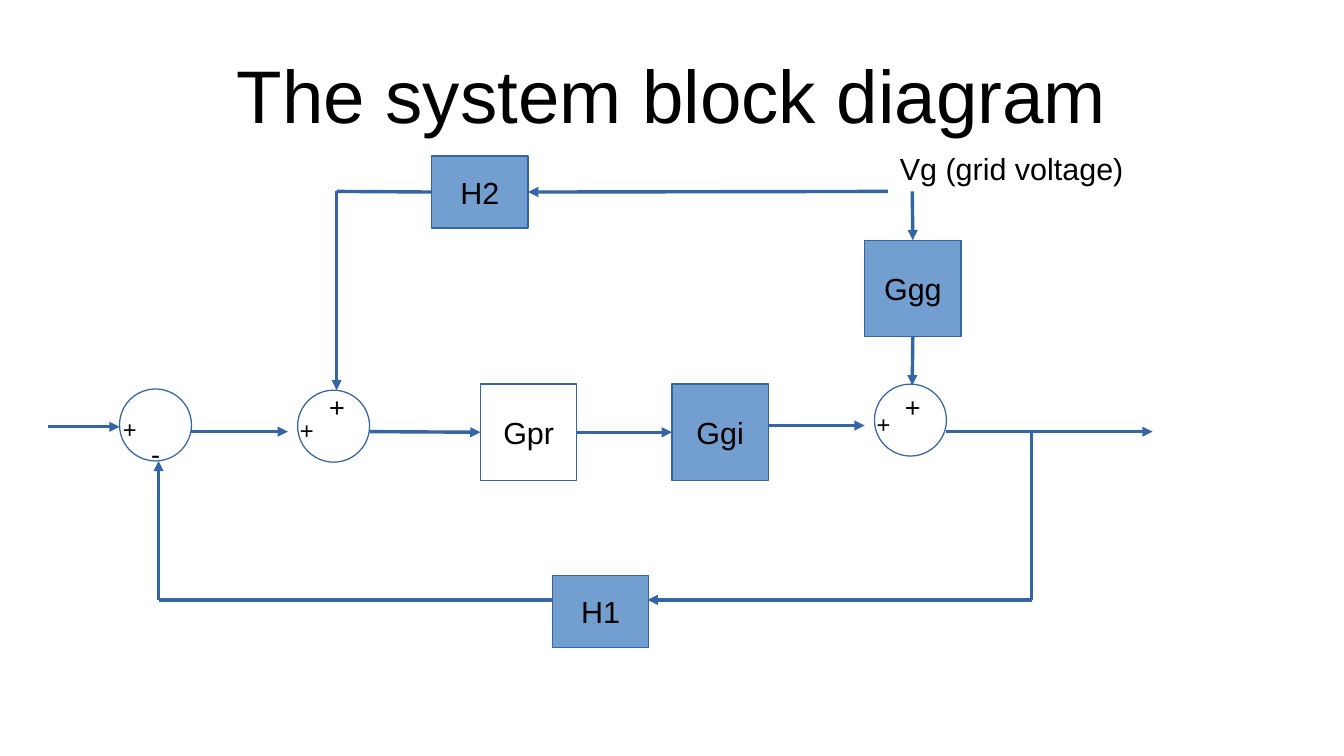
from dataclasses import dataclass

from lxml.etree import SubElement
from pptx import Presentation
from pptx.dml.color import RGBColor
from pptx.enum.shapes import MSO_CONNECTOR, MSO_SHAPE
from pptx.enum.text import MSO_ANCHOR, MSO_AUTO_SIZE, PP_ALIGN
from pptx.oxml.ns import qn
from pptx.util import Inches, Pt


@dataclass(frozen=True)
class Theme:
    font: str = "Arial"
    ink: RGBColor = RGBColor(0x00, 0x00, 0x00)
    stroke: RGBColor = RGBColor(0x34, 0x65, 0xA4)
    block: RGBColor = RGBColor(0x72, 0x9F, 0xCF)
    title_size: int = 44
    label_size: int = 18
    top_sign_size: int = 16
    side_sign_size: int = 14


THEME = Theme()
TOP, LEFT, BOTTOM, RIGHT = range(4)
BLOCK_WIDTH = 0.79
JUNCTION_SIZE = 0.59

# Name: left, top, height, filled
BLOCKS = {
    "Gpr": (3.94, 3.15, 0.79, False),
    "Ggi": (5.51, 3.15, 0.79, True),
    "Ggg": (7.09, 1.97, 0.79, True),
    "H2": (3.54, 1.28, 0.59, True),
    "H1": (4.53, 4.72, 0.59, True),
}

# Left and top of each summing junction
JUNCTIONS = [(0.98, 3.19), (2.44, 3.2), (7.17, 3.15)]

# Text, left, top, width, height, size
LABELS = [
    ("+", 0.91, 3.35, 0.39, 0.38, THEME.side_sign_size),
    ("-", 1.14, 3.54, 0.39, 0.38, THEME.top_sign_size),
    ("+", 2.36, 3.36, 0.39, 0.38, THEME.side_sign_size),
    ("+", 2.6, 3.15, 0.39, 0.79, THEME.top_sign_size),
    ("+", 7.09, 3.31, 0.39, 0.38, THEME.side_sign_size),
    ("+", 7.32, 3.15, 0.39, 0.73, THEME.top_sign_size),
    ("Vg (grid voltage)", 7.28, 1.18, 2.76, 1.98, THEME.label_size),
]

# Start, end, arrowhead; an end is a point or a (block, side) pair
SIGNALS = [
    # Forward path
    ((0.39, 3.5), (0.98, 3.5), True),
    ((1.57, 3.54), (2.36, 3.54), True),
    ((3.03, 3.54), ("Gpr", LEFT), True),
    (("Gpr", RIGHT), ("Ggi", LEFT), True),
    ((6.3, 3.49), (7.09, 3.49), True),
    ((7.76, 3.54), (9.45, 3.54), True),
    # Feedback through H1
    ((8.46, 3.54), (8.46, 4.92), False),
    ((8.46, 4.92), (5.31, 4.92), True),
    ((4.53, 4.92), (1.3, 4.92), False),
    ((1.3, 4.92), (1.3, 3.78), True),
    # Grid voltage through H2 and Ggg
    ((7.28, 1.57), ("H2", RIGHT), True),
    (("H2", LEFT), (2.76, 1.57), False),
    ((2.76, 1.57), (2.76, 3.2), True),
    ((7.48, 1.57), ("Ggg", TOP), True),
    (("Ggg", BOTTOM), (7.48, 3.16), True),
]


def write(frame, text, size, align=PP_ALIGN.LEFT, anchor=MSO_ANCHOR.TOP):
    frame.word_wrap = True
    frame.auto_size = MSO_AUTO_SIZE.NONE
    frame.vertical_anchor = anchor
    para = frame.paragraphs[0]
    para.text = text
    para.alignment = align
    para.font.name = THEME.font
    para.font.size = Pt(size)
    para.font.color.rgb = THEME.ink


def add_title(page, text):
    title = page.shapes.title
    title.left, title.top = Inches(0.55), Inches(0.25)
    title.width, title.height = Inches(9.92), Inches(1.04)
    frame = title.text_frame
    frame.margin_left = frame.margin_right = 0
    frame.margin_top = frame.margin_bottom = 0
    write(frame, text, THEME.title_size, PP_ALIGN.CENTER, MSO_ANCHOR.MIDDLE)


def add_outline(page, preset, left, top, width, height, filled=False):
    box = page.shapes.add_shape(
        preset, Inches(left), Inches(top), Inches(width), Inches(height))
    box.shadow.inherit = False
    if filled:
        box.fill.solid()
        box.fill.fore_color.rgb = THEME.block
    else:
        box.fill.background()
    box.line.color.rgb = THEME.stroke
    box.line.width = Pt(0)
    return box


def add_block(page, name, left, top, height, filled):
    box = add_outline(page, MSO_SHAPE.RECTANGLE, left, top, BLOCK_WIDTH, height, filled)
    write(box.text_frame, name, THEME.label_size, PP_ALIGN.CENTER, MSO_ANCHOR.MIDDLE)
    return box


def add_label(page, text, left, top, width, height, size):
    box = page.shapes.add_textbox(
        Inches(left), Inches(top), Inches(width), Inches(height))
    write(box.text_frame, text, size)


def add_signal(page, blocks, start, end, arrow):
    def place(spot):
        return (0, 0) if spot[0] in blocks else (Inches(spot[0]), Inches(spot[1]))

    signal = page.shapes.add_connector(
        MSO_CONNECTOR.STRAIGHT, *place(start), *place(end))
    if start[0] in blocks:
        signal.begin_connect(blocks[start[0]], start[1])
    if end[0] in blocks:
        signal.end_connect(blocks[end[0]], end[1])
    signal.line.color.rgb = THEME.stroke
    signal.line.width = Pt(0)
    if arrow:
        SubElement(signal.line._get_or_add_ln(), qn("a:tailEnd"), type="triangle")
    SubElement(signal._element.spPr, qn("a:effectLst"))


def main():
    deck = Presentation()
    deck.slide_width, deck.slide_height = Inches(11.02), Inches(6.2)
    page = deck.slides.add_slide(deck.slide_layouts[5])
    add_title(page, "The system block diagram")

    # Blocks and summing junctions
    blocks = {name: add_block(page, name, *place) for name, place in BLOCKS.items()}
    for left, top in JUNCTIONS:
        add_outline(page, MSO_SHAPE.OVAL, left, top, JUNCTION_SIZE, JUNCTION_SIZE)

    # Signals and their labels
    for signal in SIGNALS:
        add_signal(page, blocks, *signal)
    for label in LABELS:
        add_label(page, *label)

    deck.save("out.pptx")


if __name__ == "__main__":
    main()
